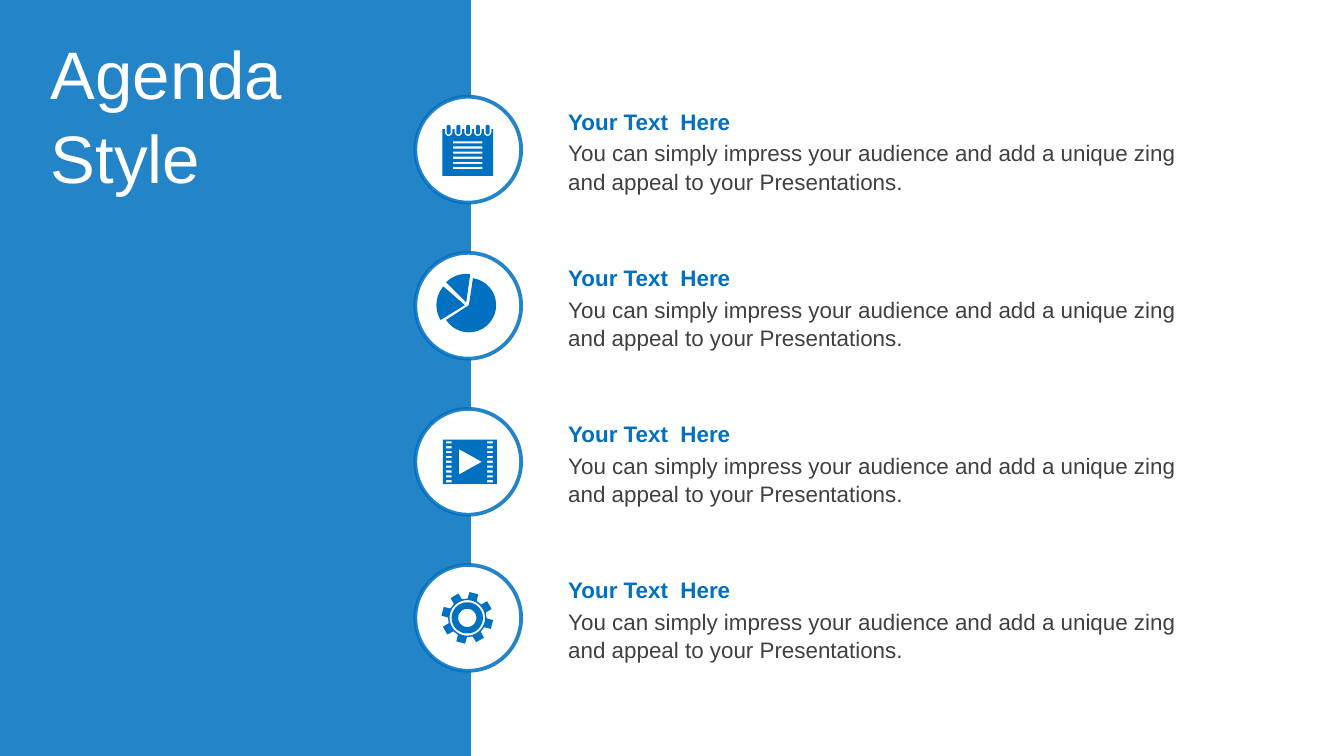
from math import cos, radians, sin

from pptx import Presentation
from pptx.dml.color import RGBColor
from pptx.enum.shapes import MSO_SHAPE as Shape
from pptx.enum.text import MSO_ANCHOR as Anchor, MSO_AUTO_SIZE as AutoSize
from pptx.oxml.ns import qn
from pptx.util import Cm, Pt
from lxml.etree import SubElement

BLUE = "0070C0"
WHITE = "FFFFFF"
GREY = "404040"


def paint(fill, color, opacity=100):
    fill.solid()
    fill.fore_color.rgb = RGBColor.from_string(color)
    if opacity < 100:
        element = fill._xPr.find(qn("a:solidFill"))[0]
        SubElement(element, qn("a:alpha")).set("val", str(opacity * 1000))


def add_text(text, left, top, width, height, size=12, color=GREY, bold=False,
             anchor=Anchor.TOP, auto_size=AutoSize.SHAPE_TO_FIT_TEXT):
    box = slide.shapes.add_textbox(Cm(left), Cm(top), Cm(width), Cm(height))
    frame = box.text_frame
    frame.word_wrap = True
    frame.auto_size = auto_size
    frame.vertical_anchor = anchor
    frame.text = text
    for paragraph in frame.paragraphs:
        paragraph.line_spacing = 1.05
        font = paragraph.font
        font.name = "Arial"
        font.size = Pt(size)
        font.bold = bold
        paint(font.fill, color)


presentation = Presentation()
presentation.slide_width = Cm(25.4)
presentation.slide_height = Cm(14.29)
slide = presentation.slides.add_slide(presentation.slide_layouts[6])

panel = slide.shapes.add_shape(Shape.RECTANGLE, 0, 0, Cm(8.9), Cm(14.29))
panel.shadow.inherit = False
paint(panel.fill, BLUE, 86)
panel.line.fill.background()

add_text("Agenda\nStyle", 0.71, 0.53, 8.2, 3.2, size=36, color=WHITE,
         anchor=Anchor.MIDDLE, auto_size=AutoSize.NONE)

# Icon outlines are in thousandths of a centimetre from the circle centre.
notepad_page = [(-490, 495), (-490, -390)]
notepad = []
for x in range(-370, 367, 184):
    notepad_page += [(x - 70, -390)]
    notepad_page += [(x + 70 * cos(radians(a)), -330 + 70 * sin(radians(a)))
                     for a in range(180, -1, -15)]
    notepad_page += [(x + 70, -390)]
    notepad.append([(x + 38 * cos(radians(a)), (-328 if a < 180 else -432) + 38 * sin(radians(a)))
                    for a in range(0, 360, 15)])
notepad.append(notepad_page + [(470, -390), (470, 495)])
for row in range(6):
    y = -140 + 97 * row
    notepad.append([(-290, y - 20), (265, y - 20), (265, y + 20), (-290, y + 20)])

pie = []
for x, y, radius, start, end in [(-64, -13, 537, 148.5, 221),
                                 (13, -13, 514, -81.5, 147),
                                 (-38, -64, 538, 225, 278)]:
    angles = [radians(start + (end - start) * step / 40) for step in range(41)]
    pie.append([(x, y)] + [(x + radius * cos(a), y + radius * sin(a)) for a in angles])

film = [[(-480, -420), (541, -420), (541, 420), (-480, 420)],
        [(-178, -241), (-178, 241), (257, 0)]]
for row in range(9):
    y = -368 + 92 * row
    for x in (-425, 355):
        film.append([(x, y - 20), (x + 112, y - 20), (x + 112, y + 20), (x, y + 20)])

gear = [[(-18 + radius * cos(radians(tooth + offset)), radius * sin(radians(tooth + offset)))
         for tooth in range(-75, 285, 45)
         for radius, offset in [(365, -14), (490, -10), (490, 10), (365, 14)]]]
for radius in (335, 295, 172):
    gear.append([(-18 + radius * cos(radians(a)), radius * sin(radians(a)))
                 for a in range(0, 360, 6)])

center_x = 8.85
for row, icon in enumerate([notepad, pie, film, gear]):
    center_y = 2.83 + 2.95 * row
    circle = slide.shapes.add_shape(
        Shape.OVAL, Cm(center_x - 1), Cm(center_y - 1), Cm(2), Cm(2))
    circle.shadow.inherit = False
    paint(circle.fill, WHITE)
    paint(circle.line.fill, BLUE, 85)
    circle.line.width = Pt(2)

    builder = slide.shapes.build_freeform(*icon[0][0], scale=Cm(0.001))
    builder.add_line_segments(icon[0][1:])
    for outline in icon[1:]:
        builder.move_to(*outline[0])
        builder.add_line_segments(outline[1:])
    symbol = builder.convert_to_shape(Cm(center_x), Cm(center_y))
    symbol.shadow.inherit = False
    paint(symbol.fill, BLUE)
    symbol.line.fill.background()

    add_text("You can simply impress your audience and add a unique zing "
             "and appeal to your Presentations.",
             10.49, center_y - 0.34, 12, 1.27)
    add_text("Your Text  Here", 10.49, center_y - 0.93, 12, 0.76, color=BLUE, bold=True)

presentation.save("out.pptx")
